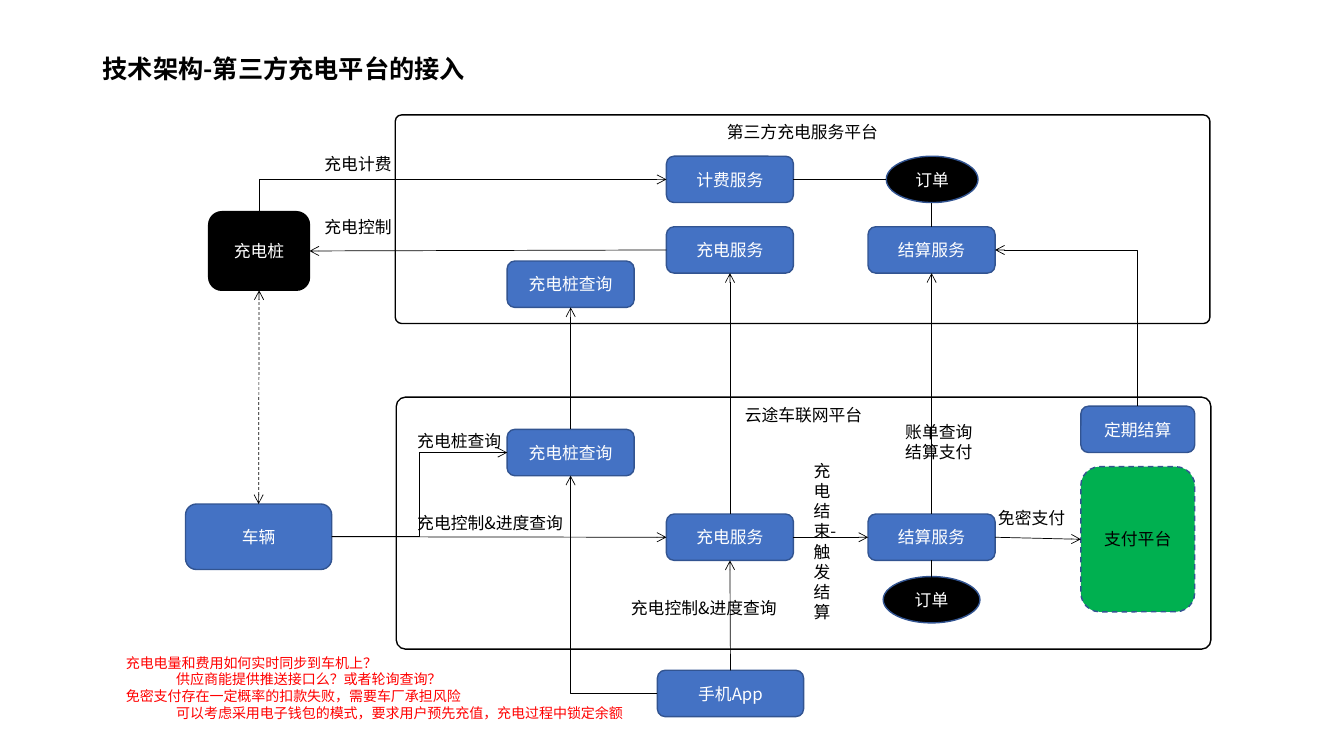
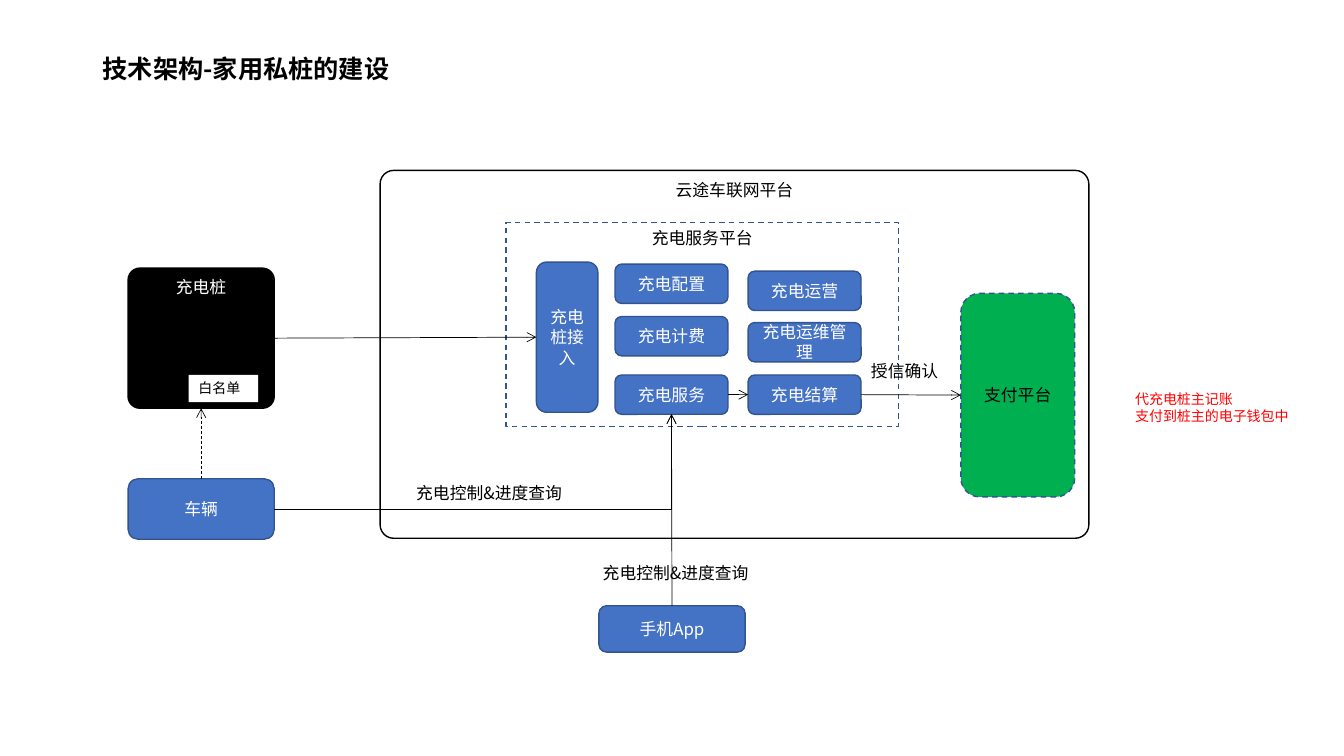
from lxml import etree
from pptx import Presentation
from pptx.dml.color import RGBColor
from pptx.enum.dml import MSO_LINE
from pptx.enum.shapes import MSO_CONNECTOR, MSO_SHAPE
from pptx.enum.text import MSO_ANCHOR, PP_ALIGN
from pptx.oxml.ns import qn
from pptx.util import Inches, Pt

ROUND, RECT, OVAL = MSO_SHAPE.ROUNDED_RECTANGLE, MSO_SHAPE.RECTANGLE, MSO_SHAPE.OVAL
STRAIGHT, ELBOW = MSO_CONNECTOR.STRAIGHT, MSO_CONNECTOR.ELBOW
DASH = MSO_LINE.DASH
LEFT_ALIGN, CENTER = PP_ALIGN.LEFT, PP_ALIGN.CENTER
TOP_ANCHOR, MIDDLE = MSO_ANCHOR.TOP, MSO_ANCHOR.MIDDLE
TOP, LEFT, BOTTOM, RIGHT = range(4)  # connection sites of a rectangle

FONT = "Noto Sans CJK SC"
COLORS = {"black": "000000", "white": "FFFFFF", "blue": "4472C4",
          "edge": "325491", "green": "00B050", "red": "FF0000"}


def add_text(page, text, left, top, width, height, kind=None, fill="blue", edge="edge",
             dash=False, corner=None, color="black", size=12, bold=False,
             align=LEFT_ALIGN, anchor=TOP_ANCHOR, spacing=None):
    """Add a text box, or a shape of the given kind; a leading tab indents a line."""
    place = [Inches(value) for value in (left, top, width, height)]
    if kind is None:
        box = page.shapes.add_textbox(*place)
    else:
        box = page.shapes.add_shape(kind, *place)
        box.shadow.inherit = False
        box.fill.solid()
        box.fill.fore_color.rgb = RGBColor.from_string(COLORS[fill])
        if edge is None:
            box.line.fill.background()
        else:
            box.line.color.rgb = RGBColor.from_string(COLORS[edge])
            box.line.width = Pt(1)
        if dash:
            box.line.dash_style = DASH
        if corner is not None:
            box.adjustments[0] = corner
    frame = box.text_frame
    frame.word_wrap = True
    frame.vertical_anchor = anchor
    for index, line in enumerate(text.split("\n")):
        para = frame.add_paragraph() if index else frame.paragraphs[0]
        para.alignment = align
        para.level = int(line.startswith("\t"))
        if spacing:
            para.line_spacing = spacing
        span = para.add_run()
        span.text = line.strip()
        span.font.size, span.font.bold, span.font.name = Pt(size), bold, FONT
        span.font.color.rgb = RGBColor.from_string(COLORS[color])
        etree.SubElement(span._r.get_or_add_rPr(), qn("a:ea"), typeface=FONT)
    return box


def add_line(page, begin, end, kind=STRAIGHT, corner=False, dash=False, arrows=("tailEnd",)):
    """Join two ends, each (box, site) or (x, y); corner gives a single bend."""
    line = page.shapes.add_connector(kind, 0, 0, 0, 0)
    if isinstance(begin[0], float):
        line.begin_x, line.begin_y = Inches(begin[0]), Inches(begin[1])
    else:
        line.begin_connect(*begin)
    if isinstance(end[0], float):
        line.end_x, line.end_y = Inches(end[0]), Inches(end[1])
    else:
        line.end_connect(*end)
    line.line.color.rgb = RGBColor.from_string(COLORS["black"])
    line.line.width = Pt(0.5)
    if dash:
        line.line.dash_style = DASH
    properties = line._element.spPr
    if corner:
        properties.find(qn("a:prstGeom")).set("prst", "bentConnector2")
    for arrow in arrows:
        etree.SubElement(properties.find(qn("a:ln")), qn("a:" + arrow), type="arrow")
    etree.SubElement(properties, qn("a:effectLst"))


# Shared formats
BLOCK = dict(kind=ROUND, color="white", align=CENTER, anchor=MIDDLE)
DARK = dict(BLOCK, fill="black")
PANEL = dict(kind=ROUND, fill="white", edge="black", align=CENTER)
PAYMENT = dict(BLOCK, fill="green", dash=True, color="black")
NOTE = dict(size=10, color="red")
CONTROL = "充电控制&进度查询"
PLATFORM = "云途车联网平台"

deck = Presentation()
deck.slide_width, deck.slide_height = Inches(13.33), Inches(7.5)
pages = []
for title in ("技术架构-第三方充电平台的接入", "技术架构-家用私桩的建设"):
    page = deck.slides.add_slide(deck.slide_layouts[6])
    add_text(page, title, 0.92, 0.4, 11.61, 0.59, size=18, bold=True,
             anchor=MIDDLE, spacing=0.9)
    pages.append(page)

# Slide 1: third-party platform
page = pages[0]
add_text(page, "第三方充电服务平台", 3.92, 1.14, 8.08, 2.07, corner=0.031, **PANEL)
add_text(page, PLATFORM, 3.93, 3.94, 8.08, 2.5, corner=0.037, **PANEL)
pile = add_text(page, "充电桩", 2.07, 2.1, 1, 0.78, **dict(DARK, edge="black"))
car = add_text(page, "车辆", 1.84, 5, 1.45, 0.65, **BLOCK)
app = add_text(page, "手机App", 6.52, 6.65, 1.45, 0.46, **BLOCK)
payment = add_text(page, "支付平台", 10.72, 4.63, 1.13, 1.44, **PAYMENT)
schedule = add_text(page, "定期结算", 10.72, 4.03, 1.13, 0.46, **BLOCK)

# Services, all of one size
services = {}
for name, text, left, top in (
        ("billing", "计费服务", 6.61, 1.55),
        ("remote query", "充电桩查询", 5.03, 2.59), ("query", "充电桩查询", 5.03, 4.26),
        ("remote charge", "充电服务", 6.61, 2.25), ("charge", "充电服务", 6.61, 5.1),
        ("remote settle", "结算服务", 8.61, 2.25), ("settle", "结算服务", 8.61, 5.1)):
    services[name] = add_text(page, text, left, top, 1.26, 0.46, **BLOCK)

# Orders
oval = dict(DARK, kind=OVAL)
add_text(page, "订单", 8.79, 1.55, 0.91, 0.46, **oval)
order = add_text(page, "订单", 8.76, 5.72, 0.96, 0.46, **oval)
add_line(page, (services["billing"], RIGHT), (8.79, 1.78), arrows=())
add_line(page, (services["remote settle"], TOP), (9.24, 2.01), arrows=())
add_line(page, (services["settle"], BOTTOM), (order, TOP), arrows=())

# Straight arrows
add_line(page, (car, TOP), (pile, BOTTOM), dash=True, arrows=("headEnd", "tailEnd"))
for begin, end in (
        ((car, RIGHT), (services["charge"], LEFT)),
        ((app, TOP), (services["charge"], BOTTOM)),
        ((services["remote charge"], LEFT), (pile, RIGHT)),
        ((services["charge"], RIGHT), (services["settle"], LEFT)),
        ((services["settle"], RIGHT), (payment, LEFT))):
    add_line(page, begin, end)
for name in ("query", "charge", "settle"):
    add_line(page, (services[name], TOP), (services["remote " + name], BOTTOM))

# Bent arrows
add_line(page, (car, RIGHT), (services["query"], LEFT), kind=ELBOW)
add_line(page, (app, LEFT), (services["query"], BOTTOM), kind=ELBOW, corner=True)
for begin, end in (((services["billing"], LEFT), (pile, TOP)),
                   ((services["remote settle"], RIGHT), (schedule, TOP))):
    add_line(page, begin, end, kind=ELBOW, corner=True, arrows=("headEnd",))

# Arrow labels and questions
for text, left, top, width, height in (
        ("充电计费", 3.12, 1.48, 1.37, 0.3), ("充电控制", 3.12, 2.1, 1.37, 0.3),
        ("充电桩查询", 4.04, 4.22, 1.1, 0.3), (CONTROL, 4.04, 5.04, 2.17, 0.3),
        (CONTROL, 6.16, 5.88, 2.17, 0.3), ("充电结束-触发结算", 7.97, 4.52, 0.52, 1.72),
        ("账单查询\n结算支付", 8.88, 4.13, 0.99, 0.5), ("免密支付", 9.8, 4.99, 1, 0.3)):
    add_text(page, text, left, top, width, height)
add_text(page, "充电电量和费用如何实时同步到车机上？\n"
               "\t供应商能提供推送接口么？或者轮询查询？\n"
               "免密支付存在一定概率的扣款失败，需要车厂承担风险\n"
               "\t可以考虑采用电子钱包的模式，要求用户预先充值，充电过程中锁定余额",
         1.15, 6.44, 5.2, 0.94, **NOTE)

# Slide 2: private home pile
page = pages[1]
add_text(page, PLATFORM, 3.77, 1.69, 7.03, 3.65, corner=0.037, **PANEL)
add_text(page, "充电服务平台", 5.02, 2.21, 3.89, 2.02,
         **dict(PANEL, kind=RECT, edge="edge", dash=True))
pile = add_text(page, "充电桩", 1.27, 2.66, 1.45, 1.39, corner=0.084,
                **dict(DARK, edge="black", anchor=TOP_ANCHOR))
add_text(page, "白名单", 1.87, 3.72, 0.69, 0.27, kind=RECT, fill="white", edge=None, size=10)
car = add_text(page, "车辆", 1.27, 4.75, 1.45, 0.6, **BLOCK)
app = add_text(page, "手机App", 5.94, 6.01, 1.45, 0.46, **BLOCK)
access = add_text(page, "充电桩接入", 5.32, 2.6, 0.61, 1.49, **BLOCK)
payment = add_text(page, "支付平台", 9.53, 2.91, 1.13, 2.02, **PAYMENT)

# Two columns of modules
modules = {}
for left, column in (
        (6.1, (("充电配置", 2.62), ("充电计费", 3.14), ("充电服务", 3.72))),
        (7.42, (("充电运营", 2.69), ("充电运维管理", 3.2), ("充电结算", 3.72)))):
    for text, top in column:
        modules[text] = add_text(page, text, left, top, 1.12, 0.39, **BLOCK)
charge, settle = modules["充电服务"], modules["充电结算"]

# Arrows
add_line(page, (car, TOP), (pile, BOTTOM), dash=True)
for begin, end in (((pile, RIGHT), (access, LEFT)), ((charge, RIGHT), (settle, LEFT)),
                   ((settle, RIGHT), (payment, LEFT)), ((app, TOP), (charge, BOTTOM))):
    add_line(page, begin, end)
add_line(page, (car, RIGHT), (charge, BOTTOM), kind=ELBOW, corner=True)

# Arrow labels and remark
for text, left, top, width in (("授信确认", 8.54, 3.53, 0.99), (CONTROL, 5.88, 5.53, 2.17),
                               (CONTROL, 4.03, 4.74, 2.17)):
    add_text(page, text, left, top, width, 0.3)
add_text(page, "代充电桩主记账\n支付到桩主的电子钱包中", 11.16, 3.83, 1.75, 0.44, **NOTE)

deck.save("out.pptx")
